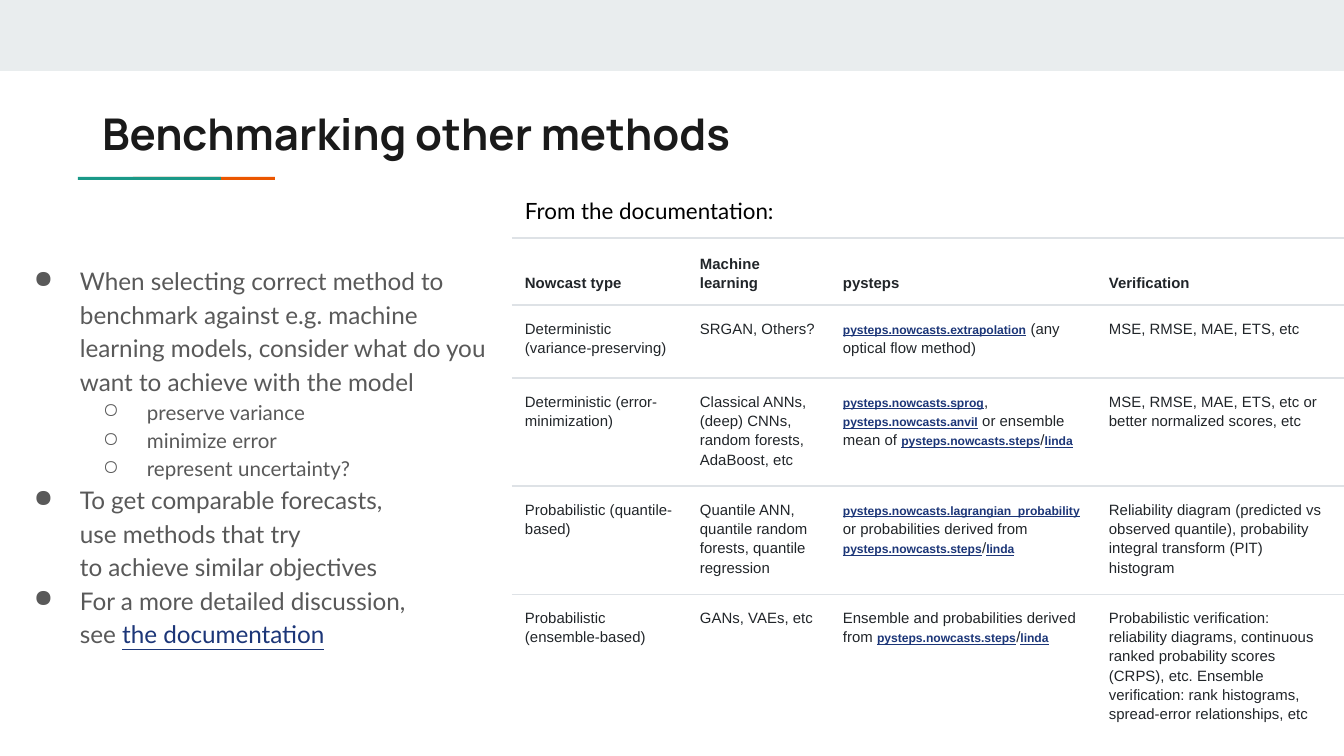
"""Build a slide on benchmarking other nowcasting methods."""
import pptx
import pptx.dml.color
import pptx.enum.shapes
import pptx.enum.text
import pptx.oxml
import pptx.oxml.ns
import pptx.util

RGB = pptx.dml.color.RGBColor
WHITE = RGB(0xFF, 0xFF, 0xFF)
BLACK = RGB(0, 0, 0)
BAND = RGB(0xE9, 0xED, 0xEE)
ORANGE = RGB(0xEB, 0x56, 0x00)
TEAL = RGB(0x1A, 0x99, 0x88)
DARK = RGB(0x1A, 0x1A, 0x1A)
GREY = RGB(0x59, 0x59, 0x59)
INK = RGB(0x21, 0x25, 0x29)
LINK = RGB(0x1C, 0x36, 0x78)
RULE = RGB(0xDE, 0xE2, 0xE6)

TOP = pptx.enum.text.MSO_ANCHOR.TOP
MID = pptx.enum.text.MSO_ANCHOR.MIDDLE
LOW = pptx.enum.text.MSO_ANCHOR.BOTTOM
SCALE = pptx.util.Inches(10) / 1344
PAD = 13

POINTS = [
    (0, "When selecting correct method to benchmark against e.g. machine "
        "learning models, consider what do you want to achieve with the model"),
    (1, "preserve variance"),
    (1, "minimize error"),
    (1, "represent uncertainty?"),
    (0, "To get comparable forecasts, \nuse methods that try \nto achieve similar objectives"),
    (0, "For a more detailed discussion, \nsee `the documentation`"),
]
LEVELS = [(13, "●", 67, -46), (11, "○", 134, -44)]

WIDTHS = [175, 143, 266, 248]
HEIGHTS = [43, 73, 98, 106, 136]
STEPS = "`pysteps.nowcasts.steps`/`linda`"
ROWS = [
    ["Nowcast type", "Machine learning", "pysteps", "Verification"],
    ["Deterministic (variance-preserving)", "SRGAN, Others?",
     "`pysteps.nowcasts.extrapolation` (any optical flow method)",
     "MSE, RMSE, MAE, ETS, etc"],
    ["Deterministic (error-minimization)",
     "Classical ANNs, (deep) CNNs, random forests, AdaBoost, etc",
     "`pysteps.nowcasts.sprog`, `pysteps.nowcasts.anvil` or ensemble mean of " + STEPS,
     "MSE, RMSE, MAE, ETS, etc or better normalized scores, etc"],
    ["Probabilistic (quantile-based)",
     "Quantile ANN, quantile random forests, quantile regression",
     "`pysteps.nowcasts.lagrangian_probability` or probabilities derived from " + STEPS,
     "Reliability diagram (predicted vs observed quantile), "
     "probability integral transform (PIT) histogram"],
    ["Probabilistic (ensemble-based)", "GANs, VAEs, etc",
     "Ensemble and probabilities derived from " + STEPS,
     "Probabilistic verification: reliability diagrams, continuous ranked "
     "probability scores (CRPS), etc. Ensemble verification: rank histograms, "
     "spread-error relationships, etc"],
]


def px(count):
    """Turn px into EMU."""
    return pptx.util.Emu(round(count * SCALE))


def node(tag, inner="", **attrs):
    """Make a drawing element from its tag, content and attributes."""
    text = "".join(f' {key}="{val}"' for key, val in attrs.items())
    space = pptx.oxml.ns.nsdecls("a")
    return pptx.oxml.parse_xml(f"<a:{tag} {space}{text}>{inner}</a:{tag}>")


def paint(color):
    """Give the XML of a solid fill."""
    return f'<a:solidFill><a:srgbClr val="{color}"/></a:solidFill>'


class Deck:
    """Hold the style and the current slide."""

    def __init__(self):
        """Start a deck with one blank slide."""
        self.file = pptx.Presentation()
        self.file.slide_width, self.file.slide_height = px(1344), px(756)
        self.slide = self.file.slides.add_slide(self.file.slide_layouts[6])

    def bar(self, left, top, width, height, color):
        """Add a plain filled rectangle."""
        shape = self.slide.shapes.add_shape(
            pptx.enum.shapes.MSO_SHAPE.RECTANGLE, *map(px, (left, top, width, height)))
        shape.shadow.inherit = False
        shape.fill.solid()
        shape.fill.fore_color.rgb = color
        shape.line.fill.background()

    def prose(self, para, text, face, size, color, bold=False, small=None):
        """Set text whose parts between backticks are styled as links."""
        font = para.font
        font.name, font.size, font.bold = face, pptx.util.Pt(size), bold
        font.color.rgb = color
        for spot, part in enumerate(text.split("`")):
            for turn, line in enumerate(part.split("\n")):
                if turn:
                    para.add_line_break()
                if not line:
                    continue
                run = para.add_run()
                run.text = line
                if spot % 2:
                    run.font.color.rgb = LINK
                    run.font.underline = True
                    if small:
                        run.font.size, run.font.bold = pptx.util.Pt(small), True

    def box(self, left, top, width, height, anchor=TOP):
        """Add a wrapped text box and give its frame."""
        frame = self.slide.shapes.add_textbox(
            *map(px, (left, top, width, height))).text_frame
        frame.word_wrap = True
        frame.vertical_anchor = anchor
        frame.margin_left = frame.margin_right = px(PAD)
        frame.margin_top = frame.margin_bottom = px(PAD)
        return frame

    def label(self, area, text, face, size, color, bold=False, anchor=TOP):
        """Add a text box of one paragraph."""
        frame = self.box(*area, anchor)
        self.prose(frame.paragraphs[0], text, face, size, color, bold)

    def list(self, area, points):
        """Add a bulleted list of two levels."""
        frame = self.box(*area)
        for spot, (level, text) in enumerate(points):
            para = frame.add_paragraph() if spot else frame.paragraphs[0]
            size, mark, left, hang = LEVELS[level]
            para.level = level
            para.line_spacing = 1.15
            props = para._p.get_or_add_pPr()
            props.set("marL", str(px(left)))
            props.set("indent", str(px(hang)))
            props.append(node("buClr", f'<a:srgbClr val="{GREY}"/>'))
            props.append(node("buChar", char=mark))
            self.prose(para, text, "Lato", size, GREY)

    def edge(self, cell, side, width=0):
        """Set one border of a cell, or clear it when the width is zero."""
        inner = paint(RULE) if width else "<a:noFill/>"
        cell._tc.get_or_add_tcPr().append(
            node("ln" + side, inner, w=pptx.util.Pt(width)))

    def table(self, left, top, widths, heights, rows):
        """Add a table ruled between its rows."""
        area = map(px, (left, top, sum(widths), sum(heights)))
        grid = self.slide.shapes.add_table(len(rows), len(widths), *area).table
        grid.first_row = grid.horz_banding = False
        for col, width in zip(grid.columns, widths):
            col.width = px(width)
        rules = [0.83, 1.5] + [0.83] * (len(rows) - 2) + [0]
        for r, texts in enumerate(rows):
            grid.rows[r].height = px(heights[r])
            for c, text in enumerate(texts):
                cell = grid.cell(r, c)
                cell.margin_left = cell.margin_right = px(PAD)
                cell.margin_top = cell.margin_bottom = px(PAD)
                cell.vertical_anchor = TOP if r else LOW
                for side, width in zip("LRTB", (0, 0, rules[r], rules[r + 1])):
                    self.edge(cell, side, width)
                cell.fill.solid()
                cell.fill.fore_color.rgb = WHITE
                para = cell.text_frame.paragraphs[0]
                para.line_spacing = 1.15
                self.prose(para, text, "Arial", 8, INK, r == 0, 6.5)


def main():
    """Build and save the slide."""
    deck = Deck()
    deck.bar(0, 0, 1344, 71, BAND)
    deck.bar(133, 177, 142, 3, ORANGE)
    deck.bar(78, 177, 143, 3, TEAL)
    deck.label((89, 94, 1138, 79), "Benchmarking other methods",
               "Manrope", 23.4, DARK, True, MID)
    deck.list((0, 249, 512, 477), POINTS)
    deck.table(512, 238, WIDTHS, HEIGHTS, ROWS)
    deck.label((512, 184, 352, 54), "From the documentation:", "Lato", 12, BLACK)
    deck.file.save("out.pptx")


if __name__ == "__main__":
    main()
